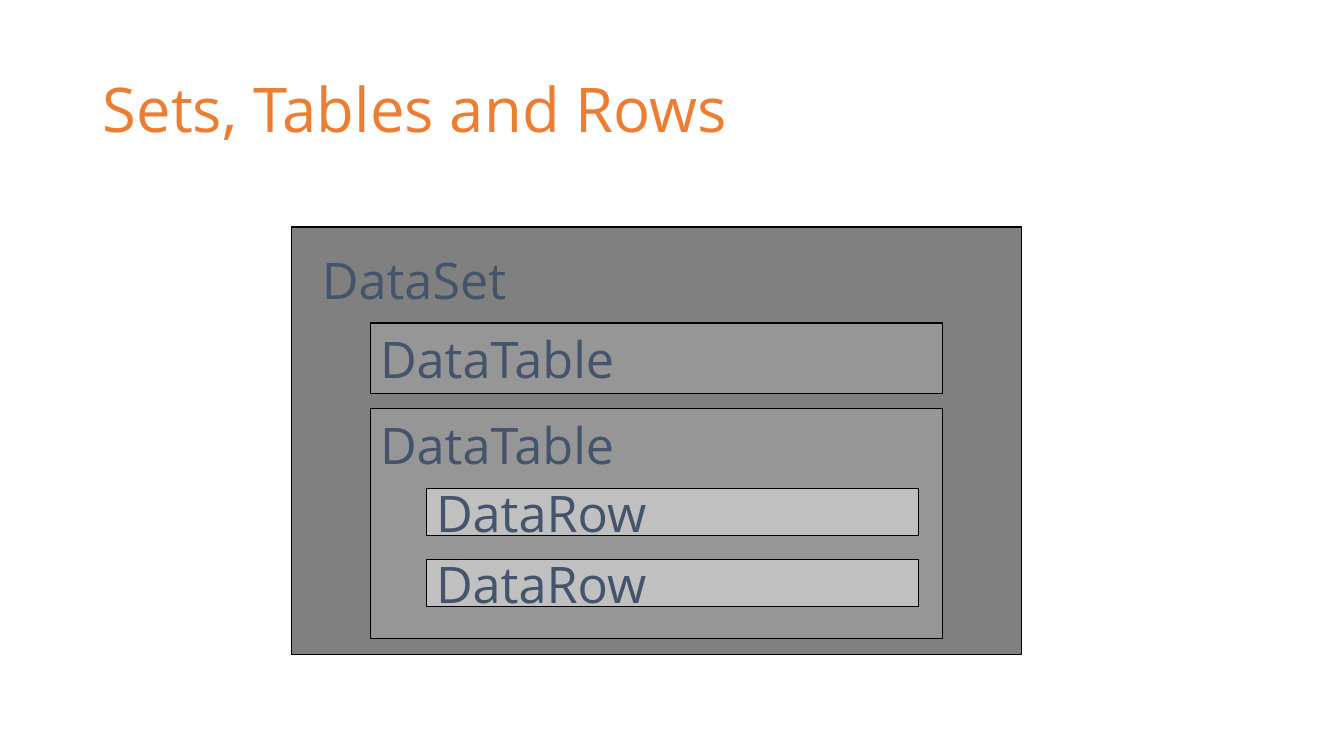
import pptx
import pptx.util
import pptx.dml.color
import pptx.enum.shapes
import pptx.enum.text

RGBColor = pptx.dml.color.RGBColor
Anchor = pptx.enum.text.MSO_ANCHOR

ORANGE = RGBColor(0xED, 0x7D, 0x31)
SLATE = RGBColor(0x44, 0x54, 0x6A)
BLACK = RGBColor(0, 0, 0)
SET_GRAY = RGBColor(0x80, 0x80, 0x80)
TABLE_GRAY = RGBColor(0x96, 0x96, 0x96)
ROW_GRAY = RGBColor(0xC0, 0xC0, 0xC0)
FONT = "Open Sans"
PIXEL = 914400 / 100.8

TITLE = ("Sets, Tables and Rows", (93, 40, 1159, 146))
SET_LABEL = ("DataSet", (312, 244, 224, 71))
SET_BOX = (291, 227, 730, 428)
TABLE_LEFT, TABLE_WIDTH = 370, 572
TABLES = [(323, 71, Anchor.MIDDLE), (409, 230, Anchor.TOP)]
ROW_LEFT, ROW_TOP, ROW_WIDTH, ROW_HEIGHT = 426, 489, 492, 47
ROW_STEP, ROW_COUNT = 71, 2


def emu(box):
    return [round(length * PIXEL) for length in box]


def write(shape, text, size, color, anchor, wrap=False):
    frame = shape.text_frame
    frame.word_wrap = wrap
    frame.vertical_anchor = anchor
    frame.text = text
    paragraph = frame.paragraphs[0]
    paragraph.alignment = pptx.enum.text.PP_ALIGN.LEFT
    font = paragraph.runs[0].font
    font.name = FONT
    font.size = pptx.util.Pt(size)
    font.color.rgb = color
    return paragraph


def add_box(box, fill, text=None, anchor=Anchor.MIDDLE):
    shape = slide.shapes.add_shape(pptx.enum.shapes.MSO_SHAPE.RECTANGLE, *emu(box))
    shape.shadow.inherit = False
    shape.fill.solid()
    shape.fill.fore_color.rgb = fill
    shape.line.color.rgb = BLACK
    shape.line.width = pptx.util.Pt(0.75)
    if text:
        write(shape, text, 36, SLATE, anchor)


presentation = pptx.Presentation()
presentation.slide_width = pptx.util.Inches(13.33)
presentation.slide_height = pptx.util.Inches(7.5)
slide = presentation.slides.add_slide(presentation.slide_layouts[6])

title, title_box = TITLE
title_shape = slide.shapes.add_textbox(*emu(title_box))
write(title_shape, title, 44, ORANGE, Anchor.MIDDLE, True).line_spacing = 0.9

add_box(SET_BOX, SET_GRAY)
label, label_box = SET_LABEL
write(slide.shapes.add_textbox(*emu(label_box)), label, 36, SLATE, Anchor.TOP)

for top, height, anchor in TABLES:
    add_box((TABLE_LEFT, top, TABLE_WIDTH, height), TABLE_GRAY, "DataTable", anchor)

for index in range(ROW_COUNT):
    top = ROW_TOP + index * ROW_STEP
    add_box((ROW_LEFT, top, ROW_WIDTH, ROW_HEIGHT), ROW_GRAY, "DataRow")

presentation.save("out.pptx")
